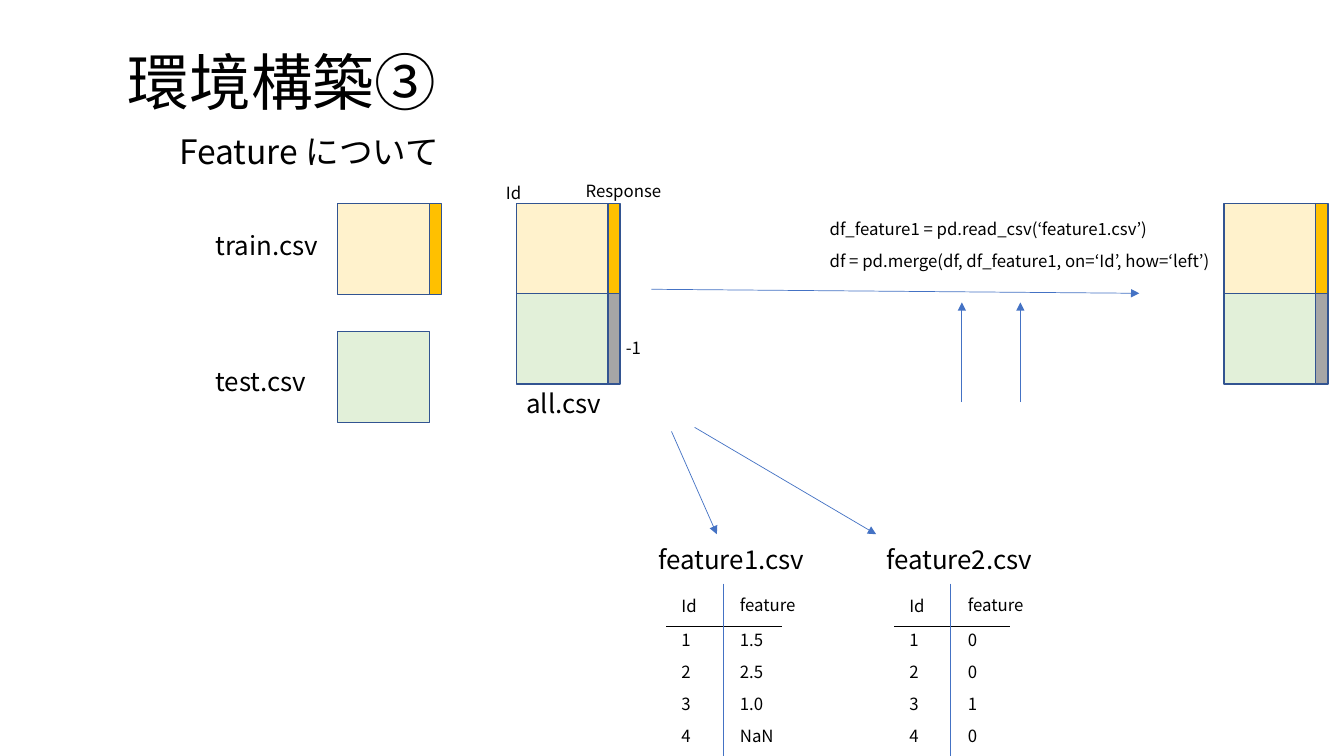
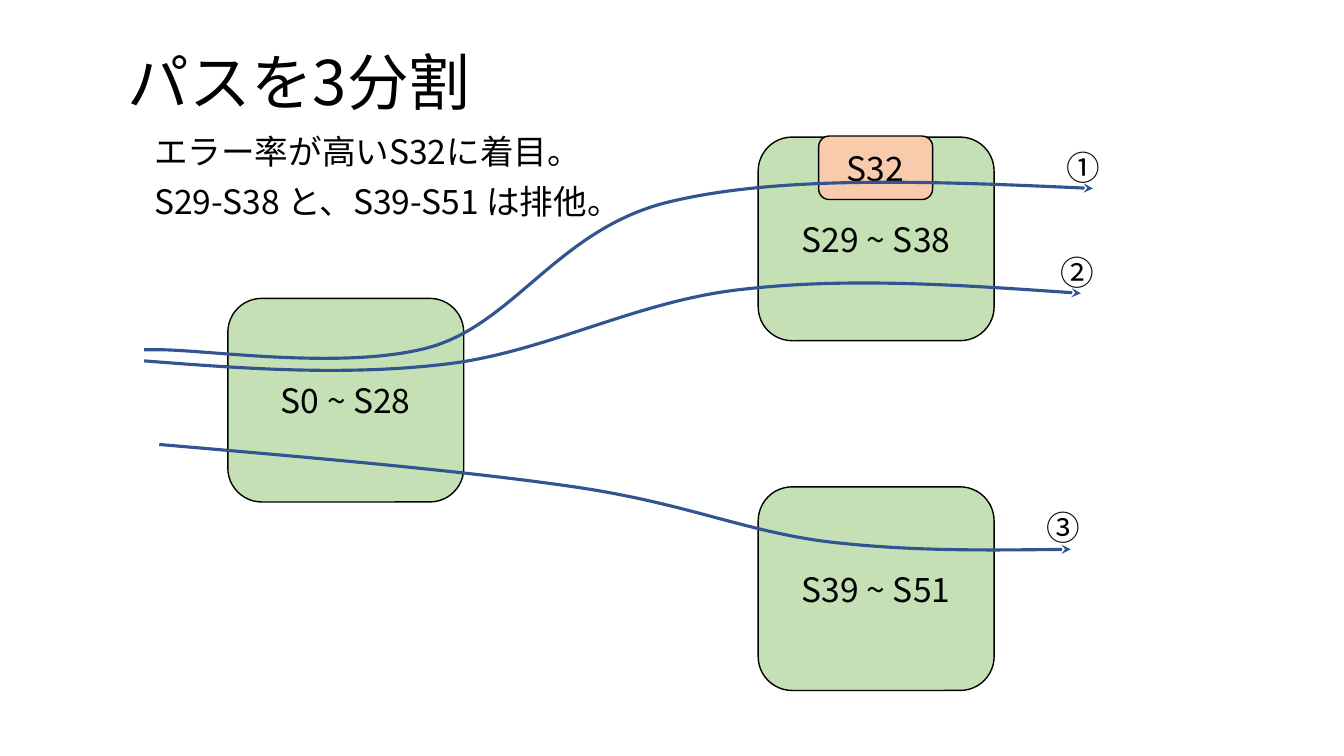
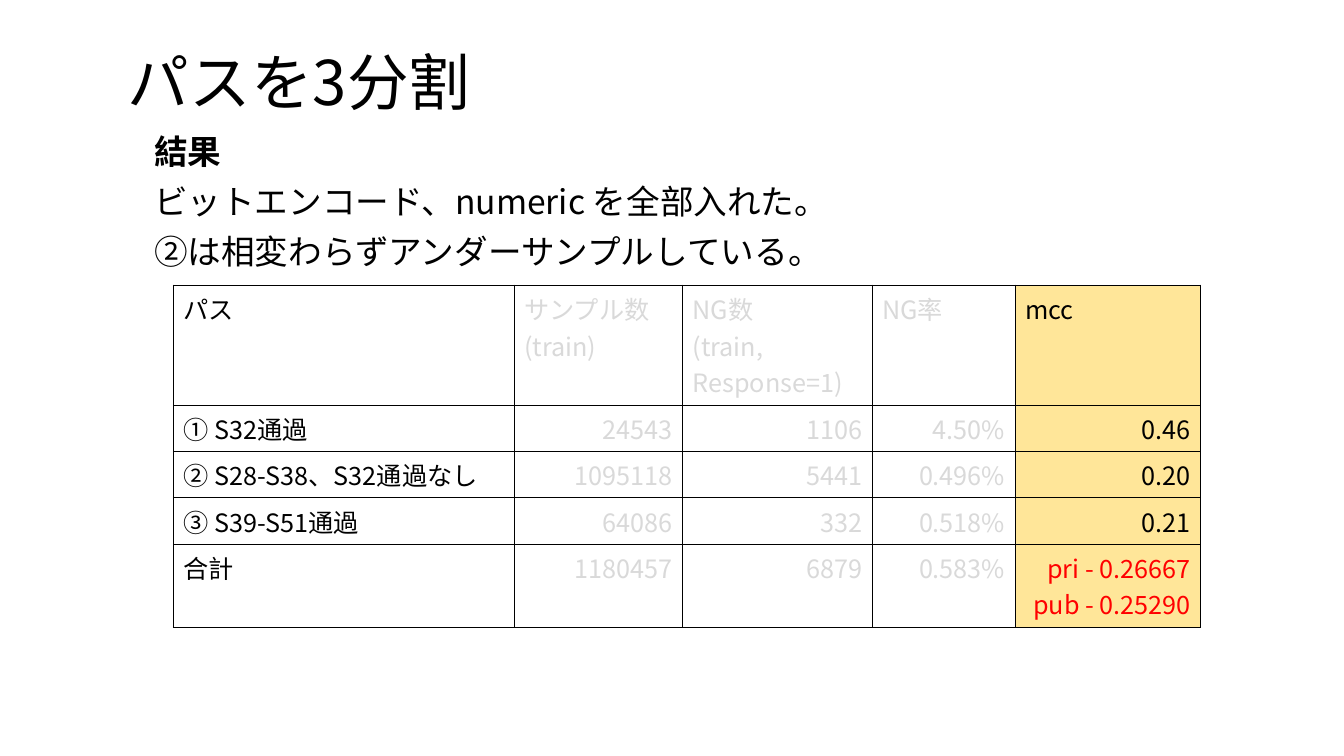
from lxml import etree
from pptx import Presentation
from pptx.dml.color import RGBColor
from pptx.enum.shapes import MSO_CONNECTOR, MSO_SHAPE
from pptx.enum.text import MSO_ANCHOR, PP_ALIGN
from pptx.oxml.ns import qn
from pptx.util import Inches, Pt

STRAIGHT = MSO_CONNECTOR.STRAIGHT
RECT, ROUNDED = MSO_SHAPE.RECTANGLE, MSO_SHAPE.ROUNDED_RECTANGLE
LEFT, CENTER, RIGHT = PP_ALIGN.LEFT, PP_ALIGN.CENTER, PP_ALIGN.RIGHT
MIDDLE = MSO_ANCHOR.MIDDLE

FONT = "Noto Sans CJK JP"
BLACK = RGBColor(0x00, 0x00, 0x00)
RED = RGBColor(0xFF, 0x00, 0x00)
PALE_GRAY = RGBColor(0xD9, 0xD9, 0xD9)
GRAY = RGBColor(0xA6, 0xA6, 0xA6)
BLUE = RGBColor(0x44, 0x72, 0xC4)
NAVY = RGBColor(0x32, 0x54, 0x91)
CREAM = RGBColor(0xFF, 0xF2, 0xCC)
AMBER = RGBColor(0xFF, 0xC0, 0x00)
GOLD = RGBColor(0xFF, 0xE6, 0x99)
MINT = RGBColor(0xE2, 0xF0, 0xD9)
GREEN = RGBColor(0xC5, 0xE0, 0xB4)
PEACH = RGBColor(0xF8, 0xCB, 0xAD)


def write(frame, lines, size, color=BLACK, spacing=0.9, before=10, align=LEFT):
    """Fill a text frame with one paragraph per line and format it."""
    frame.word_wrap = True
    frame.text = "\n".join(lines)
    for para in frame.paragraphs:
        para.alignment = align
        para.line_spacing = spacing
        para.space_before = Pt(before)
        for span in para.runs:
            span.font.size = Pt(size)
            span.font.color.rgb = color
            span.font.name = FONT
            east_asian = etree.SubElement(span.font._element, qn("a:ea"))
            east_asian.set("typeface", FONT)


def stroke(shape, color, width, head=None):
    """Set the line of a shape or connector, with an optional arrowhead."""
    shape.line.color.rgb = color
    shape.line.width = Pt(width)
    properties = shape.element.spPr
    if head:
        etree.SubElement(properties.find(qn("a:ln")), qn("a:tailEnd")).set("type", head)
    if properties.find(qn("a:effectLst")) is None:
        etree.SubElement(properties, qn("a:effectLst"))


deck = Presentation()
deck.slide_width, deck.slide_height = Inches(13.33), Inches(7.5)
BLANK = deck.slide_layouts[6]

# Shared title and body text
BODIES = [
    ("環境構築③", (1.68, 1.29, 11.22, 0.48), ["Feature について"]),
    ("パスを3分割", (1.43, 1.29, 5.1, 1.47),
     ["エラー率が高いS32に着目。", "S29-S38 と、S39-S51 は排他。"]),
    ("パスを3分割", (1.43, 1.29, 11.42, 2.08),
     ["結果", "ビットエンコード、numeric を全部入れた。",
      "②は相変わらずアンダーサンプルしている。"]),
]
pages, bodies = [], []
for title, area, lines in BODIES:
    page = deck.slides.add_slide(BLANK)
    box = page.shapes.add_textbox(Inches(1.17), Inches(0.34), Inches(11), Inches(1.02))
    box.text_frame.vertical_anchor = MIDDLE
    write(box.text_frame, [title], 44, before=0)
    body = page.shapes.add_textbox(*map(Inches, area))
    write(body.text_frame, lines, 24)
    pages.append(page)
    bodies.append(body)
feature_page, path_page, result_page = pages

# Slide 1: data blocks built from a wide part and a narrow response column
WIDE, NARROW, TALL = 0.91, 0.12, 0.9
TOP = 2.02
MIDDLE_ROW = TOP + TALL - 0.01
blocks = [(3.35, 3.29, WIDE, MINT)]
for left in (3.35, 5.12, 12.14):
    blocks += [(left, TOP, WIDE + NARROW - 0.01, CREAM), (left + WIDE, TOP, NARROW, AMBER)]
for left in (5.12, 12.14):
    blocks += [(left, MIDDLE_ROW, WIDE, MINT), (left + WIDE, MIDDLE_ROW, NARROW, GRAY)]
for left, top, width, color in blocks:
    block = feature_page.shapes.add_shape(RECT, *map(Inches, (left, top, width, TALL)))
    block.fill.solid()
    block.fill.fore_color.rgb = color
    stroke(block, NAVY, 1)

file_names = [(2.04, 2.31, 2.63, "train.csv"), (2.04, 3.66, 1.31, "test.csv"),
              (5.12, 3.88, 1.31, "all.csv")]
notes = [
    (5.71, 1.77, 1.31, 0.35, ["Response"]),
    (6.11, 3.32, 0.66, 0.35, ["-1"]),
    (4.92, 1.79, 0.45, 0.35, ["Id"]),
    (8.13, 2.14, 4.62, 0.79, ["df_feature1 = pd.read_csv(‘feature1.csv’)",
                              "df = pd.merge(df, df_feature1, on=‘Id’, how=‘left’)"]),
]
lines = [
    (6.66, 4.28, 7.11, 5.3, BLUE, "triangle"),
    (6.89, 4.24, 8.69, 5.3, BLUE, "triangle"),
    (6.46, 2.87, 11.3, 2.91, BLUE, "triangle"),
    (9.54, 3.99, 9.54, 3, BLUE, "triangle"),
    (10.12, 3.99, 10.12, 3, BLUE, "triangle"),
]
FEATURES = [("feature1.csv", ["1.5", "2.5", "1.0", "NaN"]),
            ("feature2.csv", ["0", "0", "1", "0"])]
for index, (name, values) in enumerate(FEATURES):
    left = 6.43 + 2.26 * index
    file_names.append((left, 5.43, 1.76, name))
    lines += [(left + 0.18, 6.21, left + 1.33, 6.21, BLACK, None),
              (left + 0.74, 5.79, left + 0.74, 7.63, BLUE, None)]
    notes += [(left + 0.23, 5.88, 0.45, 0.35, ["Id"]),
              (left + 0.81, 5.87, 1.31, 0.35, ["feature"]),
              (left + 0.23, 6.22, 0.45, 1.28, ["1", "2", "3", "4"]),
              (left + 0.81, 6.22, 1.31, 1.28, values)]

for left, top, width, name in file_names:
    box = feature_page.shapes.add_textbox(*map(Inches, (left, top, width, 0.35)))
    write(box.text_frame, [name], 18.5, spacing=0.7)
for *area, words in notes:
    box = feature_page.shapes.add_textbox(*map(Inches, area))
    write(box.text_frame, words, 12)
for *ends, color, head in lines:
    connector = feature_page.shapes.add_connector(STRAIGHT, *map(Inches, ends))
    stroke(connector, color, 0.5, head)

# Slide 2: station groups, then the three routes through them
STATIONS = [
    (2.26, 2.96, 2.34, 2.02, GREEN, "S0 ~ S28"),
    (7.52, 1.36, 2.34, 2.02, GREEN, "S29 ~ S38"),
    (7.52, 4.83, 2.34, 2.02, GREEN, "S39 ~ S51"),
    (8.12, 1.35, 1.13, 0.63, PEACH, "S32"),
]
for *area, color, name in STATIONS:
    station = path_page.shapes.add_shape(ROUNDED, *map(Inches, area))
    station.fill.solid()
    station.fill.fore_color.rgb = color
    stroke(station, BLACK, 1)
    station.text_frame.vertical_anchor = MIDDLE
    write(station.text_frame, [name], 24, spacing=1.0, before=0, align=CENTER)

# Each route is a start point followed by triples of Bezier points
ROUTES = [
    ("①", 10.48, 1.45,
     [(1.43, 3.47), (1.48, 3.47), (1.53, 3.47), (1.58, 3.47),
      (2.06, 3.47), (3.44, 3.68), (4.28, 3.44),
      (5.12, 3.19), (5.55, 2.26), (6.65, 2), (7.74, 1.74), (9.29, 1.8), (10.84, 1.87)]),
    ("②", 10.42, 2.49,
     [(1.43, 3.58), (2.44, 3.66), (3.45, 3.73), (4.44, 3.61),
      (5.43, 3.49), (6.32, 2.98), (7.37, 2.87), (8.41, 2.75), (9.57, 2.83), (10.72, 2.91)]),
    ("③", 10.28, 5.02,
     [(1.58, 4.41), (3.09, 4.54), (4.59, 4.67), (5.69, 4.83),
      (6.79, 4.99), (7.35, 5.26), (8.17, 5.37), (8.99, 5.47), (9.81, 5.46), (10.62, 5.45)]),
]
for number, left, top, points in ROUTES:
    start, *rest = [(Inches(x), Inches(y)) for x, y in points]
    builder = path_page.shapes.build_freeform(*start)
    builder.add_line_segments(rest, close=False)
    route = builder.convert_to_shape()
    route.fill.background()
    stroke(route, NAVY, 2.25, "stealth")
    outline = next(route.element.iter(qn("a:path")))
    segments = outline.findall(qn("a:lnTo"))
    for first in range(0, len(segments), 3):
        curve = etree.SubElement(outline, qn("a:cubicBezTo"))
        for segment in segments[first:first + 3]:
            curve.append(segment[0])
            outline.remove(segment)
    box = path_page.shapes.add_textbox(*map(Inches, (left, top, 0.72, 0.49)))
    write(box.text_frame, [number], 24)

# Slide 3: result table
bodies[2].text_frame.paragraphs[0].runs[0].font.bold = True
COLUMNS = [3.38, 1.67, 1.88, 1.42, 1.84]
ROWS = [1.19, 0.46, 0.46, 0.46, 0.83]
RESULTS = [
    ["パス", "サンプル数\n(train)", "NG数\n(train,\nResponse=1)", "NG率", "mcc"],
    ["① S32通過", "24543", "1106", "4.50%", "0.46"],
    ["② S28-S38、S32通過なし", "1095118", "5441", "0.496%", "0.20"],
    ["③ S39-S51通過", "64086", "332", "0.518%", "0.21"],
    ["合計", "1180457", "6879", "0.583%", "pri - 0.26667\npub - 0.25290"],
]
LAST = len(COLUMNS) - 1
table = result_page.shapes.add_table(
    len(ROWS), len(COLUMNS),
    *map(Inches, (1.72, 2.83, sum(COLUMNS), sum(ROWS)))).table
for column, width in zip(table.columns, COLUMNS):
    column.width = Inches(width)
for row, height in zip(table.rows, ROWS):
    row.height = Inches(height)
for r, values in enumerate(RESULTS):
    for c, value in enumerate(values):
        cell = table.cell(r, c)
        color = PALE_GRAY if 0 < c < LAST else BLACK
        if r == len(ROWS) - 1 and c == LAST:
            color = RED
        write(cell.text_frame, value.split("\n"), 18, color, spacing=1.0, before=0,
              align=RIGHT if r and c else LEFT)
        properties = cell._tc.get_or_add_tcPr()
        for side in ("a:lnL", "a:lnR", "a:lnT", "a:lnB"):
            border = etree.SubElement(properties, qn(side), w=str(Pt(1)))
            paint = etree.SubElement(border, qn("a:solidFill"))
            etree.SubElement(paint, qn("a:srgbClr"), val=str(BLACK))
        if c == LAST:
            cell.fill.solid()
            cell.fill.fore_color.rgb = GOLD
        else:
            cell.fill.background()

deck.save("out.pptx")
